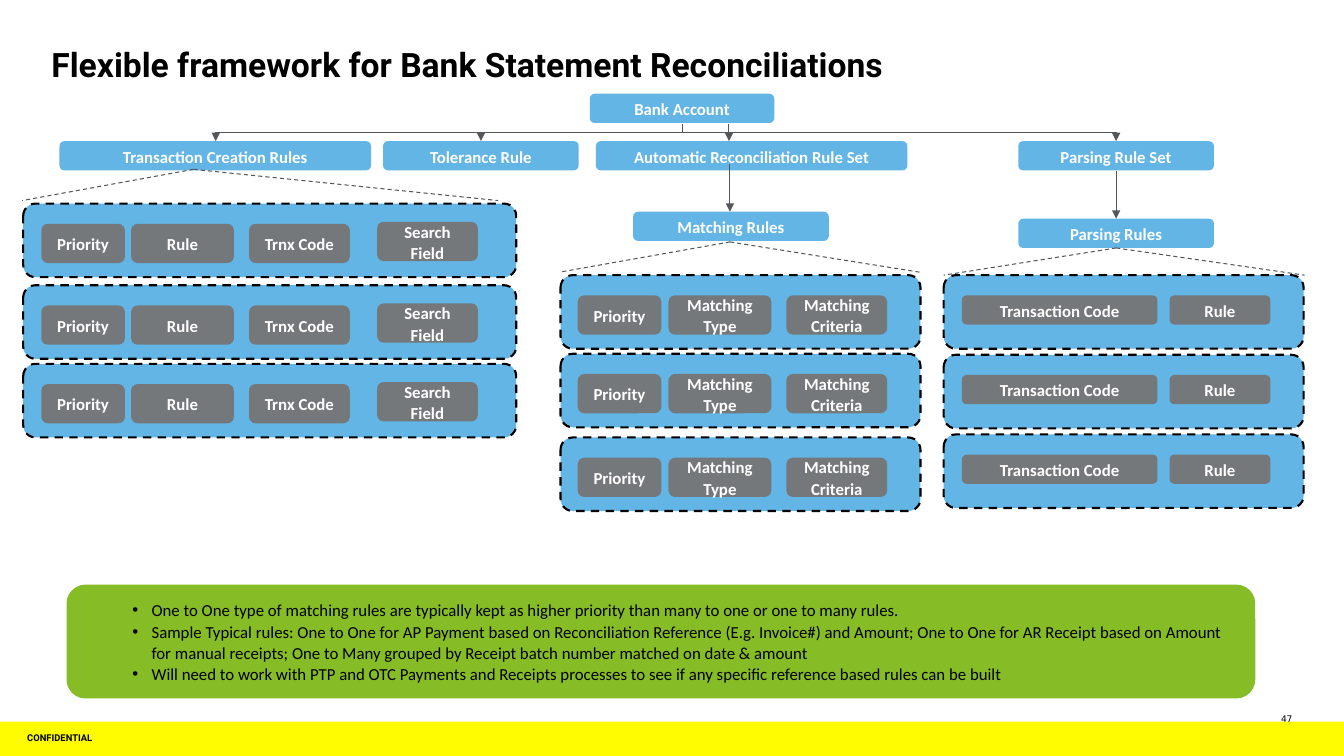
from lxml.etree import SubElement
from pptx import Presentation
from pptx.dml.color import RGBColor
from pptx.enum.dml import MSO_LINE
from pptx.enum.shapes import MSO_CONNECTOR as CONNECTOR, MSO_SHAPE as SHAPE
from pptx.enum.text import MSO_ANCHOR as ANCHOR, MSO_AUTO_SIZE as AUTO_SIZE, PP_ALIGN as ALIGN
from pptx.oxml.ns import qn
from pptx.util import Pt

SCALE = 9144
BLUE, GREY, GREEN, YELLOW = "62B5E5", "75787B", "86BC25", "FFFC00"
BLACK, WHITE, LINE_GREY = "000000", "FFFFFF", "53565A"
LABEL = {"name": "Calibri", "size": Pt(12), "bold": True}
NOTE = {"name": "Calibri", "size": Pt(12)}
TITLE = {"name": "Roboto", "size": Pt(24), "bold": True}
FOOTER = {"name": "Roboto", "size": Pt(6.7), "bold": True}
NUMBER = {"name": "DejaVu Sans", "size": Pt(6.5)}
CENTRED = {"alignment": ALIGN.CENTER, "line_spacing": 1.06}
NOTES = [
    "One to One type of matching rules are typically kept as higher priority than many to one or one to many rules.",
    "Sample Typical rules: One to One for AP Payment based on Reconciliation Reference (E.g. Invoice#) and Amount; "
    "One to One for AR Receipt based on Amount for manual receipts; One to Many grouped by Receipt batch number "
    "matched on date & amount",
    "Will need to work with PTP and OTC Payments and Receipts processes to see if any specific reference based "
    "rules can be built",
]
HEADINGS = [
    ("Bank Account", 585, 93, 183),
    ("Transaction Creation Rules", 59, 140, 309),
    ("Tolerance Rule", 380, 140, 194),
    ("Automatic Reconciliation Rule Set", 591, 140, 309),
    ("Parsing Rule Set", 1010, 140, 194),
    ("Matching Rules", 628, 210, 194),
    ("Parsing Rules", 1010, 217, 194),
]
RULE_COLUMNS = [
    (23, 489, (202, 283, 361), 39,
     [("Priority", 18, 20, 83), ("Rule", 107, 20, 102), ("Trnx Code", 224, 20, 100), ("Search Field", 351, 18, 100)]),
    (556, 357, (273, 351, 434), 39,
     [("Priority", 17, 20, 83), ("Matching Type", 107, 20, 102), ("Matching Criteria", 224, 20, 100)]),
    (936, 357, (273, 352, 431), 29,
     [("Transaction Code", 18, 20, 194), ("Rule", 224, 20, 100)]),
]
FANS = [(192, 168, 22, 494, 199), (724, 240, 555, 912, 270), (1107, 246, 936, 1294, 273)]
ARROWS = [(723, 123, 140), (724, 163, 210), (1107, 170, 217)]
BRANCH_TARGETS = [214, 477, 1107]


def px(*lengths):
    return [round(length * SCALE) for length in lengths]


def color(value):
    return RGBColor.from_string(value)


def apply_format(target, formats):
    for name, value in formats.items():
        setattr(target, name, value)


def write(paragraph, text, font, ink, formats):
    run = paragraph.add_run()
    run.text = text
    apply_format(paragraph, formats)
    apply_format(run.font, font)
    run.font.color.rgb = color(ink)


def set_frame(frame, inset, anchor):
    margins = dict.fromkeys(("margin_left", "margin_top", "margin_right", "margin_bottom"), px(inset)[0])
    apply_format(frame, {"word_wrap": True, "auto_size": AUTO_SIZE.NONE, "vertical_anchor": anchor, **margins})


def add_block(shapes, box, fill, text="", kind=SHAPE.ROUNDED_RECTANGLE):
    shape = shapes.add_shape(kind, *px(*box))
    shape.shadow.inherit = False
    shape.fill.solid()
    shape.fill.fore_color.rgb = color(fill)
    shape.line.fill.background()
    set_frame(shape.text_frame, 10, ANCHOR.MIDDLE)
    if text:
        write(shape.text_frame.paragraphs[0], text, LABEL, WHITE, CENTRED)
    return shape


def add_text(slide, box, text, font, inset, anchor, formats):
    frame = slide.shapes.add_textbox(*px(*box)).text_frame
    set_frame(frame, inset, anchor)
    write(frame.paragraphs[0], text, font, BLACK, formats)


def add_line(slide, ends, kind=CONNECTOR.STRAIGHT, dash=None, arrow=False):
    line = slide.shapes.add_connector(kind, *px(*ends))
    line.line.color.rgb = color(LINE_GREY)
    apply_format(line.line, {"width": Pt(0.75), "dash_style": dash})
    properties = line.element.spPr
    if arrow:
        SubElement(properties.find(qn("a:ln")), qn("a:tailEnd"), type="triangle")
    SubElement(properties, qn("a:effectLst"))
    return line


def add_branch(slide, start, top, end, bottom):
    drop, span = bottom - top, abs(end - start)
    left, upper = (start + end - drop) / 2, (top + bottom - span) / 2
    near, far = (left, left + drop) if end < start else (left + drop, left)
    line = add_line(slide, (near, upper, far, upper + span), CONNECTOR.ELBOW, arrow=True)
    line.element.spPr.find(qn("a:xfrm")).set("rot", "5400000" if end < start else "16200000")


def add_fan(slide, apex, top, left, right, bottom):
    for end in (left, right):
        add_line(slide, (apex, top, end, bottom), dash=MSO_LINE.DASH)


def add_rule_row(slide, box, chip_height, chips):
    group = slide.shapes.add_group_shape().shapes
    panel = add_block(group, box, BLUE)
    panel.line.color.rgb = color(BLACK)
    apply_format(panel.line, {"width": Pt(1.5), "dash_style": MSO_LINE.DASH})
    for label, across, down, width in chips:
        add_block(group, (box[0] + across, box[1] + down, width, chip_height), GREY, label)


def add_notes(slide, box):
    frame = add_block(slide.shapes, box, GREEN).text_frame
    for index, note in enumerate(NOTES):
        paragraph = frame.add_paragraph() if index else frame.paragraphs[0]
        properties = paragraph._p.get_or_add_pPr()
        indent, hanging = px(69, -19)
        properties.set("marL", str(indent))
        properties.set("indent", str(hanging))
        SubElement(properties, qn("a:buFont"), typeface="Arial")
        SubElement(properties, qn("a:buChar"), char="•")
        write(paragraph, note, NOTE, BLACK, {"level": 1, "alignment": ALIGN.LEFT, "line_spacing": 1.06})


def add_title(slide, box):
    title = slide.shapes.title
    apply_format(title, dict(zip(("left", "top", "width", "height"), px(*box))))
    set_frame(title.text_frame, 0, ANCHOR.TOP)
    write(title.text_frame.paragraphs[0], "Flexible framework for Bank Statement Reconciliations",
          TITLE, BLACK, {"alignment": ALIGN.LEFT})


def add_footer(slide, box):
    left, top, width, height = box
    add_text(slide, (left + 1248, top - 8, 34, 11), "47", NUMBER, 0, ANCHOR.TOP, {"alignment": ALIGN.RIGHT})
    add_block(slide.shapes, box, YELLOW, kind=SHAPE.RECTANGLE)
    add_text(slide, (left + 24, top, 181, 34), "CONFIDENTIAL", FOOTER, 3, ANCHOR.MIDDLE, {"line_spacing": 0.8})


def add_hierarchy(slide):
    for text, left, top, width in HEADINGS:
        add_block(slide.shapes, (left, top, width, 29), BLUE, text)
    for target in BRANCH_TARGETS:
        add_branch(slide, 677, 123, target, 140)
    for across, top, bottom in ARROWS:
        add_line(slide, (across, top, across, bottom), arrow=True)
    for fan in FANS:
        add_fan(slide, *fan)


def main():
    presentation = Presentation()
    presentation.slide_width, presentation.slide_height = px(1333, 750)
    slide = presentation.slides.add_slide(presentation.slide_layouts[5])
    add_footer(slide, (0, 716, 1333, 37))
    add_title(slide, (51, 44, 1231, 49))
    for left, width, tops, chip_height, chips in RULE_COLUMNS:
        for top in tops:
            add_rule_row(slide, (left, top, width, 73), chip_height, chips)
    add_hierarchy(slide)
    add_notes(slide, (66, 580, 1179, 113))
    presentation.save("out.pptx")


if __name__ == "__main__":
    main()
